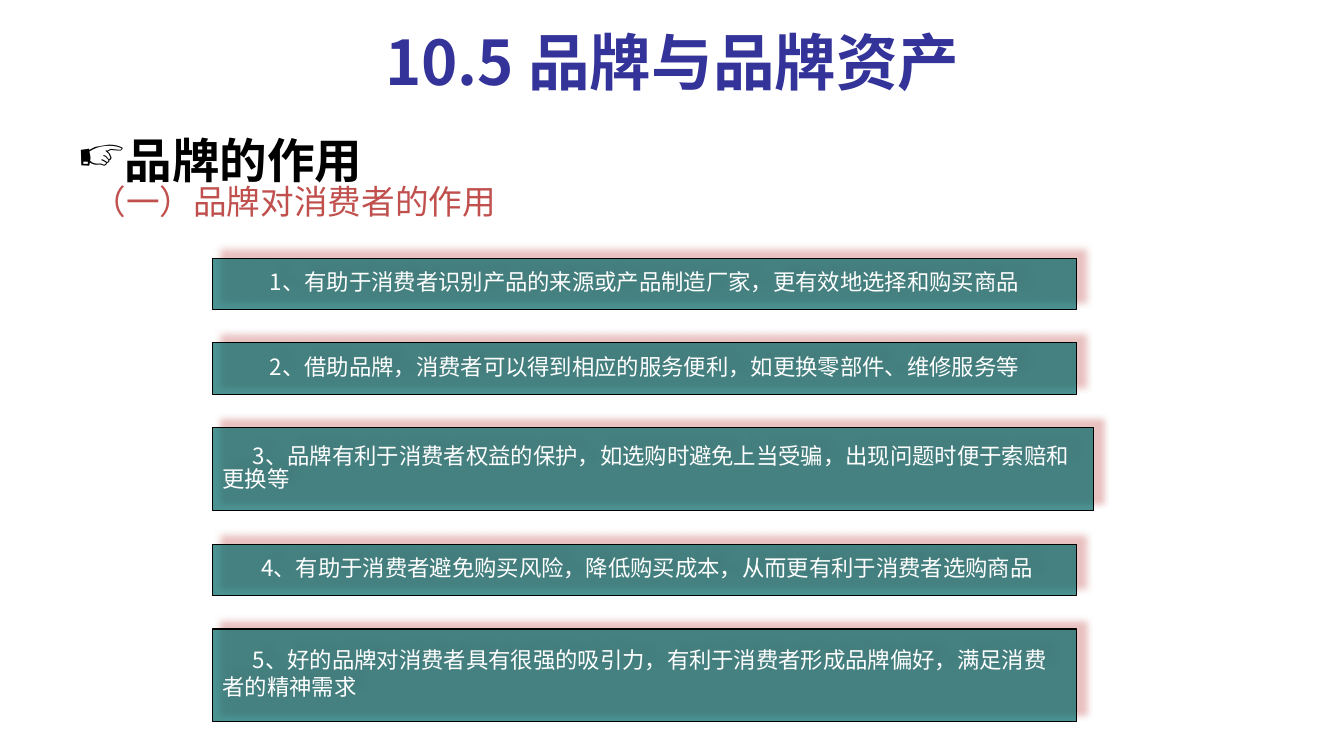
from lxml import etree
from pptx import Presentation
from pptx.dml.color import RGBColor
from pptx.enum.shapes import MSO_SHAPE
from pptx.enum.text import MSO_ANCHOR, PP_ALIGN
from pptx.oxml import parse_xml
from pptx.oxml.ns import nsdecls, qn
from pptx.util import Inches, Pt

NAVY = RGBColor(0x33, 0x33, 0x99)
BLACK = RGBColor(0, 0, 0)
WHITE = RGBColor(0xFF, 0xFF, 0xFF)
RED = RGBColor(0xC0, 0x50, 0x4D)
TEAL = RGBColor(0, 0x66, 0x66)
TITLE_FONT = "Noto Sans CJK JP"
BODY_FONT = "Noto Sans CJK SC"


def write(para, text, font_name, size, color, bold=False):
    span = para.add_run()
    span.text = text
    formats = {"name": font_name, "size": Pt(size), "bold": bold}
    for name, value in formats.items():
        setattr(span.font, name, value)
    span.font.color.rgb = color
    east_asian = etree.SubElement(span.font._element, qn("a:ea"))
    east_asian.set("typeface", font_name)


def indent(para, left, first=0):
    properties = para._p.get_or_add_pPr()
    properties.set("marL", str(Inches(left)))
    properties.set("indent", str(Inches(first)))
    return properties


deck = Presentation()
deck.slide_width, deck.slide_height = Inches(13.33), Inches(7.5)
page = deck.slides.add_slide(deck.slide_layouts[6])

# Title
title = page.shapes.add_textbox(Inches(0.67), Inches(0.13), Inches(12), Inches(0.95))
title.text_frame.word_wrap = True
title.text_frame.vertical_anchor = MSO_ANCHOR.MIDDLE
para = title.text_frame.paragraphs[0]
para.alignment = PP_ALIGN.CENTER
write(para, "10.5 品牌与品牌资产", TITLE_FONT, 44, NAVY, bold=True)

# Headings
headings = page.shapes.add_textbox(Inches(0.67), Inches(1.31), Inches(12), Inches(1.15))
headings.text_frame.word_wrap = True
para = headings.text_frame.paragraphs[0]
para.line_spacing = 0.9
bullet = etree.SubElement(indent(para, 0.38, -0.38), qn("a:buChar"))
bullet.set("char", "☞")
write(para, "品牌的作用", BODY_FONT, 34, BLACK, bold=True)
para = headings.text_frame.add_paragraph()
para.line_spacing = 0.8
indent(para, 0.15)
write(para, "（一）品牌对消费者的作用", BODY_FONT, 24, RED)

# Benefit bars: lines, width, height, alignment, first-line indent, space between lines
BENEFITS = [
    (["1、有助于消费者识别产品的来源或产品制造厂家，更有效地选择和购买商品"],
     8.57, 0.51, PP_ALIGN.CENTER, 0, 0),
    (["2、借助品牌，消费者可以得到相应的服务便利，如更换零部件、维修服务等"],
     8.57, 0.51, PP_ALIGN.CENTER, 0, 0),
    (["3、品牌有利于消费者权益的保护，如选购时避免上当受骗，出现问题时便于索赔和",
      "更换等"], 8.74, 0.82, PP_ALIGN.LEFT, 0.3, 0),
    (["4、有助于消费者避免购买风险，降低购买成本，从而更有利于消费者选购商品"],
     8.57, 0.51, PP_ALIGN.CENTER, 0.05, 0),
    (["5、好的品牌对消费者具有很强的吸引力，有利于消费者形成品牌偏好，满足消费",
      "者的精神需求"], 8.57, 0.92, PP_ALIGN.LEFT, 0.3, 3.2),
]
FIRST_TOP, LAST_BOTTOM = 2.56, 7.16
total_height = sum(benefit[2] for benefit in BENEFITS)
gap = (LAST_BOTTOM - FIRST_TOP - total_height) / (len(BENEFITS) - 1)

top = FIRST_TOP
for lines, width, height, alignment, first_indent, line_gap in BENEFITS:
    bar = page.shapes.add_shape(
        MSO_SHAPE.RECTANGLE, Inches(2.11), Inches(top), Inches(width), Inches(height))
    top += height + gap
    bar.fill.solid()
    bar.fill.fore_color.rgb = TEAL
    fill_color = bar._element.spPr.find(qn("a:solidFill"))[0]
    etree.SubElement(fill_color, qn("a:alpha")).set("val", "70000")
    bar.line.color.rgb = BLACK
    bar.line.width = Pt(0.75)
    bar.shadow.inherit = False
    bar._element.spPr.find(qn("a:effectLst")).append(parse_xml(
        f'<a:outerShdw {nsdecls("a")} blurRad="{Pt(5)}" dist="{Pt(8.5)}" '
        f'dir="{315 * 60000}" algn="ctr" rotWithShape="0">'
        f'<a:srgbClr val="{RED}"><a:alpha val="50000"/></a:srgbClr></a:outerShdw>'))

    frame = bar.text_frame
    frame.word_wrap = True
    frame.vertical_anchor = MSO_ANCHOR.MIDDLE
    for number, line in enumerate(lines):
        para = frame.add_paragraph() if number else frame.paragraphs[0]
        indent(para, 0, 0 if number else first_indent)
        para.alignment = alignment
        para.line_spacing = 0.85
        if number:
            para.space_before = Pt(line_gap)
        write(para, line, BODY_FONT, 16, WHITE)

deck.save("out.pptx")
